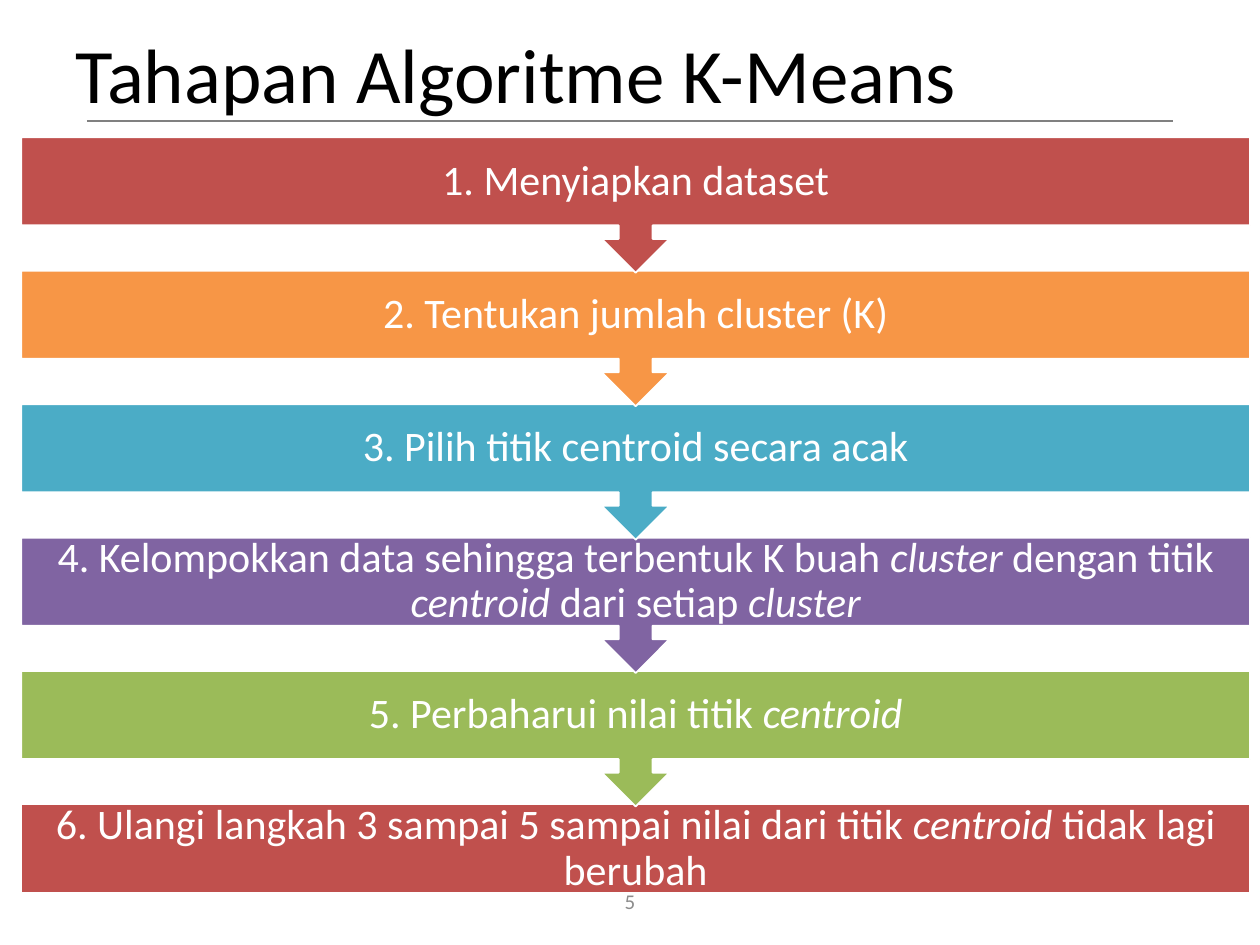
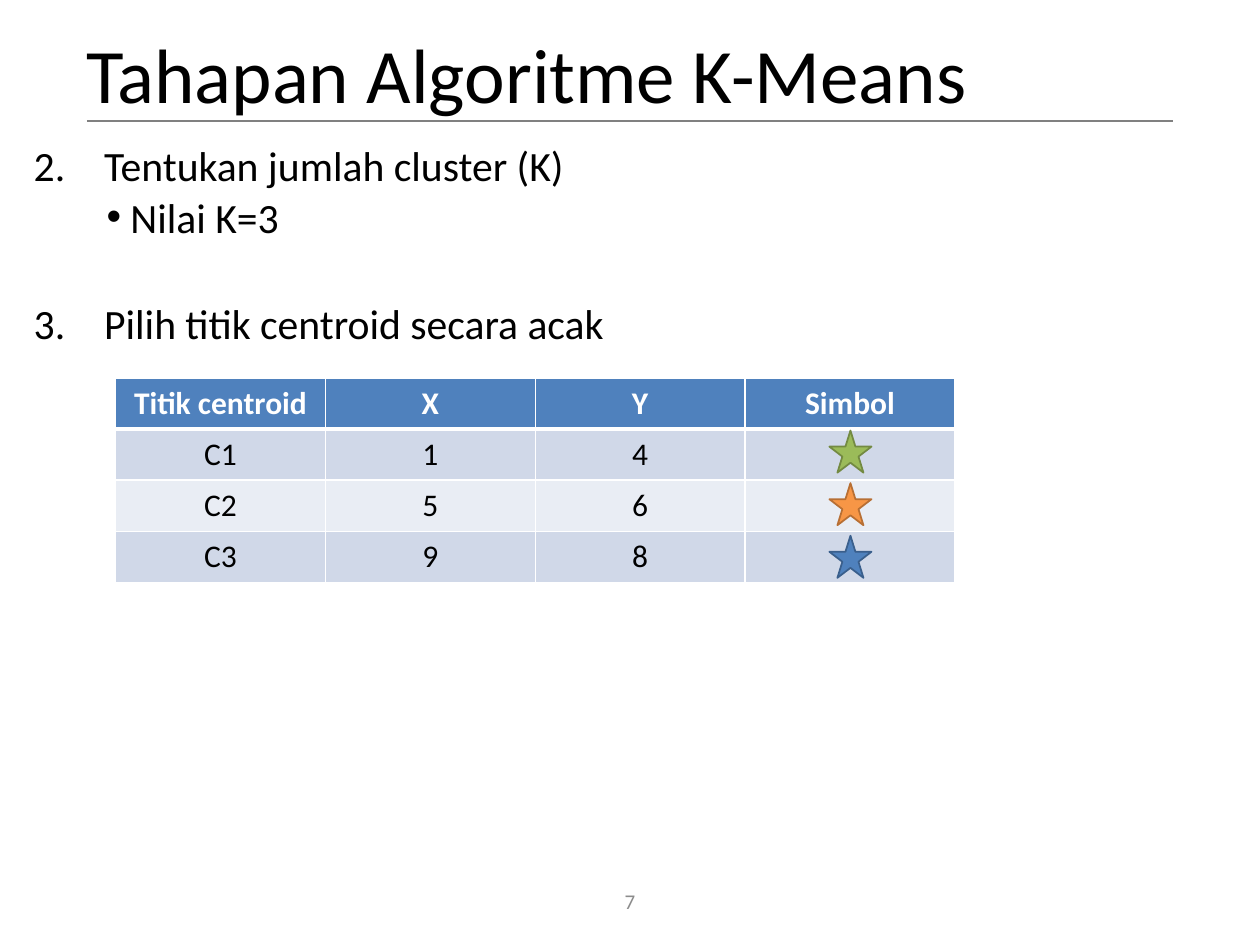
from lxml import etree
from pptx import Presentation
from pptx.dml.color import RGBColor
from pptx.enum.shapes import MSO_CONNECTOR, MSO_SHAPE
from pptx.enum.text import MSO_ANCHOR, PP_ALIGN
from pptx.oxml.ns import qn
from pptx.util import Cm, Pt

FONT = "Calibri"
BLACK = RGBColor(0x00, 0x00, 0x00)
WHITE = RGBColor(0xFF, 0xFF, 0xFF)
RULE_GRAY = RGBColor(0x80, 0x80, 0x80)
NUMBER_GRAY = RGBColor(0x8C, 0x8C, 0x8C)
RED = RGBColor(0xC0, 0x50, 0x4D)
ORANGE = RGBColor(0xF7, 0x96, 0x46)
TEAL = RGBColor(0x4B, 0xAC, 0xC6)
PURPLE = RGBColor(0x80, 0x64, 0xA2)
GREEN = RGBColor(0x9B, 0xBB, 0x59)
BLUE = RGBColor(0x4F, 0x81, 0xBD)
DARK_GREEN = RGBColor(0x73, 0x8A, 0x42)
DARK_ORANGE = RGBColor(0xB7, 0x6F, 0x34)
DARK_BLUE = RGBColor(0x3A, 0x5F, 0x8C)
BAND_DARK = RGBColor(0xD0, 0xD8, 0xE8)
BAND_LIGHT = RGBColor(0xE9, 0xED, 0xF4)

TITLE = "Tahapan Algoritme K-Means"
STEPS = [
    ("1. Menyiapkan dataset", RED),
    ("2. Tentukan jumlah cluster (K)", ORANGE),
    ("3. Pilih titik centroid secara acak", TEAL),
    ("4. Kelompokkan data sehingga terbentuk K buah *cluster* dengan titik "
     "*centroid* dari setiap *cluster*", PURPLE),
    ("5. Perbaharui nilai titik *centroid*", GREEN),
    ("6. Ulangi langkah 3 sampai 5 sampai nilai dari titik *centroid* "
     "tidak lagi berubah", RED),
]
CENTROIDS = [
    ("Titik centroid", "X", "Y", "Simbol"),
    ("C1", "1", "4", ""),
    ("C2", "5", "6", ""),
    ("C3", "9", "8", ""),
]
STARS = [(GREEN, DARK_GREEN), (ORANGE, DARK_ORANGE), (BLUE, DARK_BLUE)]


def add_runs(p, text, size, color, bold=False):
    """Add text to a paragraph, with the parts between asterisks in italics."""
    for i, part in enumerate(text.split("*")):
        if part:
            r = p.add_run()
            r.text = part
            r.font.name = FONT
            r.font.size = Pt(size)
            r.font.color.rgb = color
            r.font.bold = bold
            r.font.italic = i % 2 == 1


def add_box(s, left, top, width, height):
    """Add a wrapping text box and return its text frame."""
    tf = s.shapes.add_textbox(Cm(left), Cm(top), Cm(width), Cm(height)).text_frame
    tf.word_wrap = True
    return tf


def add_shape(s, kind, left, top, width, height, fill, line):
    """Add a flat preset shape with a thin outline."""
    sp = s.shapes.add_shape(kind, Cm(left), Cm(top), Cm(width), Cm(height))
    sp.shadow.inherit = False
    sp.fill.solid()
    sp.fill.fore_color.rgb = fill
    sp.line.color.rgb = line
    sp.line.width = Pt(1)
    return sp


def add_slide(prs, number, title_left):
    """Add a slide with its number, rule and title."""
    s = prs.slides.add_slide(prs.slide_layouts[5])
    title = s.shapes.title
    title.left, title.top = Cm(title_left), Cm(0)
    title.width, title.height = Cm(22.86), Cm(3.18)
    tf = title.text_frame
    tf.vertical_anchor = MSO_ANCHOR.MIDDLE
    p = tf.paragraphs[0]
    p.alignment = PP_ALIGN.LEFT
    p.line_spacing = 0.9
    add_runs(p, TITLE, 44, BLACK)

    rule = s.shapes.add_connector(
        MSO_CONNECTOR.STRAIGHT, Cm(1.75), Cm(2.44), Cm(23.65), Cm(2.44))
    rule.line.color.rgb = RULE_GRAY
    rule.line.width = Pt(1)
    etree.SubElement(rule._element.spPr, qn("a:effectLst"))

    tf = add_box(s, 9.84, 17.65, 5.72, 1.02)
    tf.vertical_anchor = MSO_ANCHOR.MIDDLE
    p = tf.paragraphs[0]
    p.alignment = PP_ALIGN.CENTER
    add_runs(p, str(number), 12, NUMBER_GRAY)
    return s


def add_steps(s, left=0.43, top=2.77, width=24.77, pitch=2.69):
    """Stack the steps from last to first so each arrow tip stays on top."""
    last = len(STEPS) - 1
    for i, (text, color) in reversed(list(enumerate(STEPS))):
        kind, height = MSO_SHAPE.DOWN_ARROW_CALLOUT, 2.73
        if i == last:
            kind, height = MSO_SHAPE.RECTANGLE, 1.78
        sp = add_shape(s, kind, left, top + i * pitch, width, height, color, WHITE)
        tf = sp.text_frame
        tf.word_wrap = True
        tf.vertical_anchor = MSO_ANCHOR.MIDDLE
        tf.margin_left = tf.margin_right = Cm(0.48)
        tf.margin_top = tf.margin_bottom = 0
        p = tf.paragraphs[0]
        p.alignment = PP_ALIGN.CENTER
        p.line_spacing = 0.9
        add_runs(p, text, 24, WHITE)


def add_item(p, text, margin, hanging, tag, before=10, **attrs):
    """Fill a list paragraph with a hanging bullet or number."""
    p.line_spacing = 0.7
    p.space_before = Pt(before)
    pPr = p._p.get_or_add_pPr()
    pPr.set("marL", str(Cm(margin)))
    pPr.set("indent", str(-Cm(hanging)))
    if tag == "a:buChar":
        etree.SubElement(pPr, qn("a:buFont"), typeface="Arial")
    etree.SubElement(pPr, qn(tag), **attrs)
    add_runs(p, text, 23.8, BLACK)


def add_list(s):
    """Add the second and third steps with the chosen K."""
    tf = add_box(s, 0.43, 2.97, 22.86, 4.4)
    add_item(tf.paragraphs[0], "Tentukan jumlah cluster (K)", 1.42, 1.42,
             "a:buAutoNum", type="arabicPeriod", startAt="2")
    add_item(tf.add_paragraph(), "Nilai K=3", 1.95, 0.48, "a:buChar", char="•")
    add_item(tf.add_paragraph(), "Pilih titik centroid secara acak", 1.42, 1.42,
             "a:buAutoNum", before=40, type="arabicPeriod", startAt="3")


def set_borders(cell, top, bottom):
    """Draw white cell borders with the given top and bottom widths."""
    tcPr = cell._tc.get_or_add_tcPr()
    for side, width in (("L", 1), ("R", 1), ("T", top), ("B", bottom)):
        ln = etree.SubElement(tcPr, qn(f"a:ln{side}"), w=str(Pt(width)))
        fill = etree.SubElement(ln, qn("a:solidFill"))
        etree.SubElement(fill, qn("a:srgbClr"), val=str(WHITE))


def add_centroid_table(s, left=2.33, top=7.62, col_width=4.23, row_height=1.03):
    """Add the centroid table and the star symbols in its last column."""
    rows, cols = len(CENTROIDS), len(CENTROIDS[0])
    table = s.shapes.add_table(rows, cols, Cm(left), Cm(top), Cm(cols * col_width),
                               Cm(rows * row_height)).table
    for col in table.columns:
        col.width = Cm(col_width)
    for i, values in enumerate(CENTROIDS):
        table.rows[i].height = Cm(row_height)
        header = i == 0
        band = BLUE if header else BAND_DARK if i % 2 else BAND_LIGHT
        for j, value in enumerate(values):
            cell = table.cell(i, j)
            set_borders(cell, 3 if i == 1 else 1, 3 if header else 1)
            cell.fill.solid()
            cell.fill.fore_color.rgb = band
            p = cell.text_frame.paragraphs[0]
            p.alignment = PP_ALIGN.CENTER
            add_runs(p, value, 18, WHITE if header else BLACK, header)
    for i, (fill, line) in enumerate(STARS):
        add_shape(s, MSO_SHAPE.STAR_5_POINT, 16.72, 8.68 + i * 1.06, 0.85, 0.85,
                  fill, line)


def main():
    """Build the two slides and save them."""
    prs = Presentation()
    prs.slide_width, prs.slide_height = Cm(25.4), Cm(19.05)
    add_steps(add_slide(prs, 5, 1.27))
    s = add_slide(prs, 7, 1.48)
    add_list(s)
    add_centroid_table(s)
    prs.save("out.pptx")


if __name__ == "__main__":
    main()
